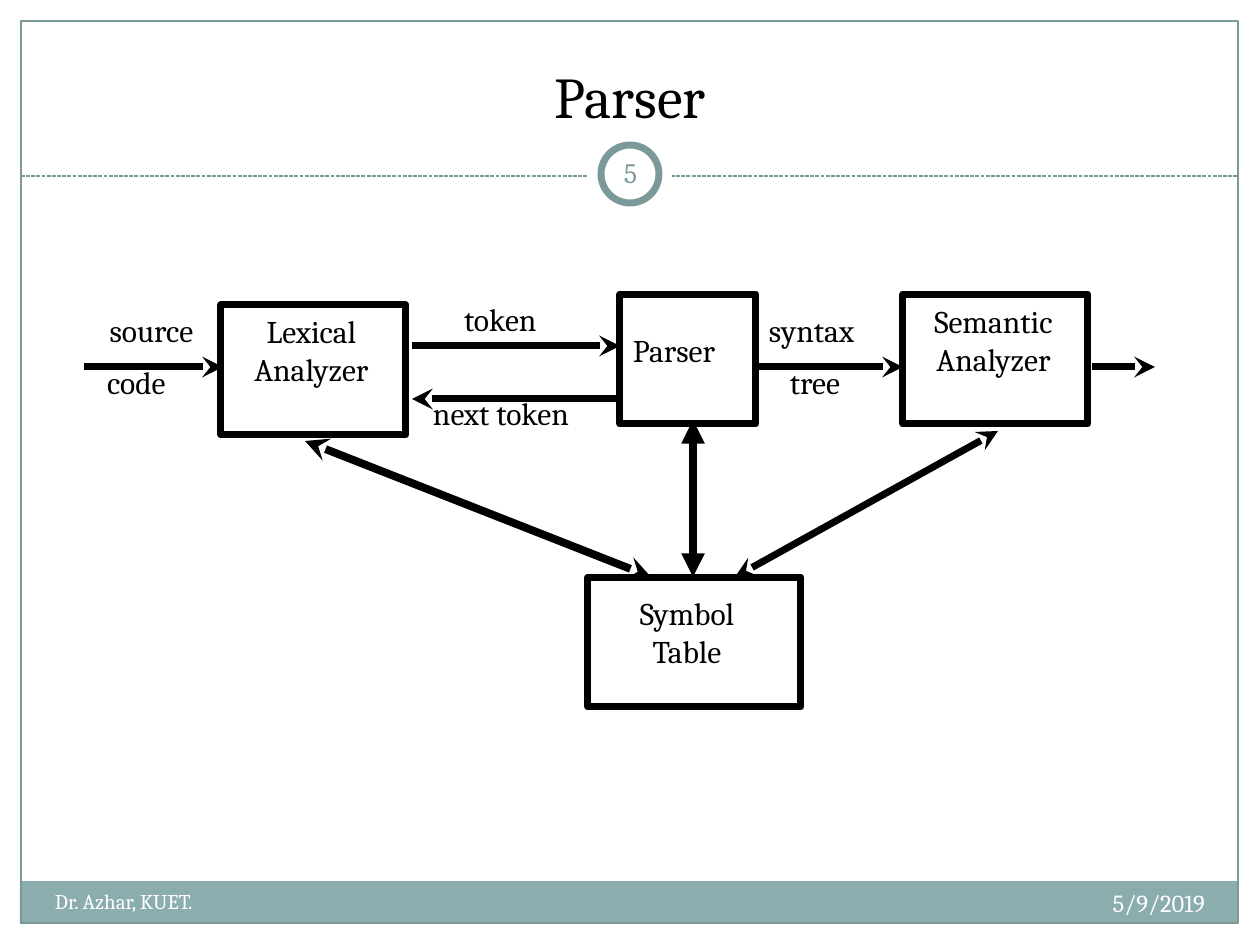
import pptx
import pptx.dml.color
import pptx.enum.dml
import pptx.enum.shapes
import pptx.enum.text
import pptx.oxml
import pptx.oxml.ns
import pptx.util

BLACK = pptx.dml.color.RGBColor(0x00, 0x00, 0x00)
WHITE = pptx.dml.color.RGBColor(0xFF, 0xFF, 0xFF)
TEAL = pptx.dml.color.RGBColor(0x7C, 0x99, 0x9A)
BAND = pptx.dml.color.RGBColor(0x8C, 0xAD, 0xAE)
RECT = pptx.enum.shapes.MSO_SHAPE.RECTANGLE
OVAL = pptx.enum.shapes.MSO_SHAPE.OVAL
LEFT = pptx.enum.text.PP_ALIGN.LEFT
CENTER = pptx.enum.text.PP_ALIGN.CENTER
RIGHT = pptx.enum.text.PP_ALIGN.RIGHT
TOP = pptx.enum.text.MSO_ANCHOR.TOP
MIDDLE = pptx.enum.text.MSO_ANCHOR.MIDDLE
BOTTOM = pptx.enum.text.MSO_ANCHOR.BOTTOM


def px(*lengths):
    return [pptx.util.Emu(round(length * 914400 / 126)) for length in lengths]


class DiagramSlide:
    font_name = "Cambria"

    def __init__(self, deck):
        self.slide = deck.slides.add_slide(deck.slide_layouts[6])

    def shape(self, kind, bounds, fill=None, outline=None, weight=4):
        form = self.slide.shapes.add_shape(kind, *px(*bounds))
        form.shadow.inherit = False
        if fill is None:
            form.fill.background()
        else:
            form.fill.solid()
            form.fill.fore_color.rgb = fill
        if outline is None:
            form.line.fill.background()
        else:
            form.line.color.rgb = outline
            form.line.width = pptx.util.Pt(weight)

    def text(self, wording, bounds, size=18, color=BLACK, align=LEFT, anchor=TOP, inset=13):
        frame = self.slide.shapes.add_textbox(*px(*bounds)).text_frame
        side, edge = px(inset, 6)
        frame_format = {
            "word_wrap": True, "vertical_anchor": anchor,
            "margin_left": side, "margin_right": side,
            "margin_top": edge, "margin_bottom": edge,
        }
        for name, value in frame_format.items():
            setattr(frame, name, value)
        font_format = {"name": self.font_name, "size": pptx.util.Pt(size)}
        for index, line in enumerate(wording.split("\n")):
            paragraph = frame.add_paragraph() if index else frame.paragraphs[0]
            paragraph.alignment = align
            run = paragraph.add_run()
            run.text = line
            for name, value in font_format.items():
                setattr(run.font, name, value)
            run.font.color.rgb = color

    def line(self, ends, color=BLACK, weight=4, head=None, tail=None, dash=None):
        link = self.slide.shapes.add_connector(
            pptx.enum.shapes.MSO_CONNECTOR.STRAIGHT, *px(*ends))
        link.line.color.rgb = color
        link.line.width = pptx.util.Pt(weight)
        if dash is not None:
            link.line.dash_style = dash
        outline = link.line._get_or_add_ln()
        for tag, arrow in (("a:headEnd", head), ("a:tailEnd", tail)):
            if arrow:
                tip = pptx.oxml.parse_xml(
                    f'<{tag} {pptx.oxml.ns.nsdecls("a")} type="{arrow}"/>')
                outline.append(tip)
        link._element.spPr.append(
            pptx.oxml.parse_xml(f'<a:effectLst {pptx.oxml.ns.nsdecls("a")}/>'))


def main():
    deck = pptx.Presentation()
    deck.slide_width, deck.slide_height = px(1260, 945)
    page = DiagramSlide(deck)

    page.shape(RECT, (20, 881, 1218, 43), fill=BAND)
    page.shape(RECT, (21, 21, 1217, 902), outline=TEAL, weight=0.75)
    page.line((21, 176, 1238, 176), TEAL, 0.75,
              dash=pptx.enum.dml.MSO_LINE.SQUARE_DOT)
    page.shape(OVAL, (588, 132, 84, 84), fill=WHITE)
    page.shape(OVAL, (601, 145, 58, 58), fill=WHITE, outline=TEAL)

    page.text("Parser", (42, 32, 1176, 104), 33, align=CENTER, anchor=BOTTOM)
    page.text("5/9/2019", (798, 882, 420, 50), 14, WHITE, RIGHT)
    page.text("Dr. Azhar, KUET.", (42, 883, 494, 50), 12, WHITE)
    page.text("5", (599, 142, 63, 61), 16, TEAL, CENTER, MIDDLE, inset=6)

    stages = [
        ("Lexical\nAnalyzer", (221, 305, 185, 130), (222, 306, 179, 113), CENTER),
        ("Parser", (620, 294, 136, 130), (620, 325, 130, 63), LEFT),
        ("Symbol\nTable", (588, 577, 213, 130), (609, 588, 156, 113), CENTER),
        ("Semantic\nAnalyzer", (903, 294, 185, 130), (903, 296, 181, 113), CENTER),
    ]
    for wording, box, label, align in stages:
        page.shape(RECT, box, outline=BLACK)
        page.text(wording, label, align=align)

    flows = [
        ((84, 367, 223, 367), None, "stealth", 4),
        ((412, 346, 620, 346), None, "stealth", 4),
        ((412, 399, 620, 399), "stealth", None, 4),
        ((756, 367, 903, 367), None, "stealth", 4),
        ((1092, 367, 1155, 367), None, "stealth", 4),
        ((305, 441, 651, 577), "stealth", "stealth", 4.5),
        ((998, 431, 735, 577), "stealth", "stealth", 4),
        ((693, 420, 693, 577), "triangle", "triangle", 4.5),
    ]
    for ends, head, tail, weight in flows:
        page.line(ends, weight=weight, head=head, tail=tail)

    flow_labels = [
        ("source", 84, 305, 135, CENTER),
        ("code", 94, 357, 105, LEFT),
        ("token", 451, 294, 118, LEFT),
        ("next token", 420, 388, 202, LEFT),
        ("syntax", 756, 305, 135, LEFT),
        ("tree", 777, 357, 88, LEFT),
    ]
    for wording, left, top, width, align in flow_labels:
        page.text(wording, (left, top, width, 63), align=align)

    deck.save("out.pptx")


if __name__ == "__main__":
    main()
